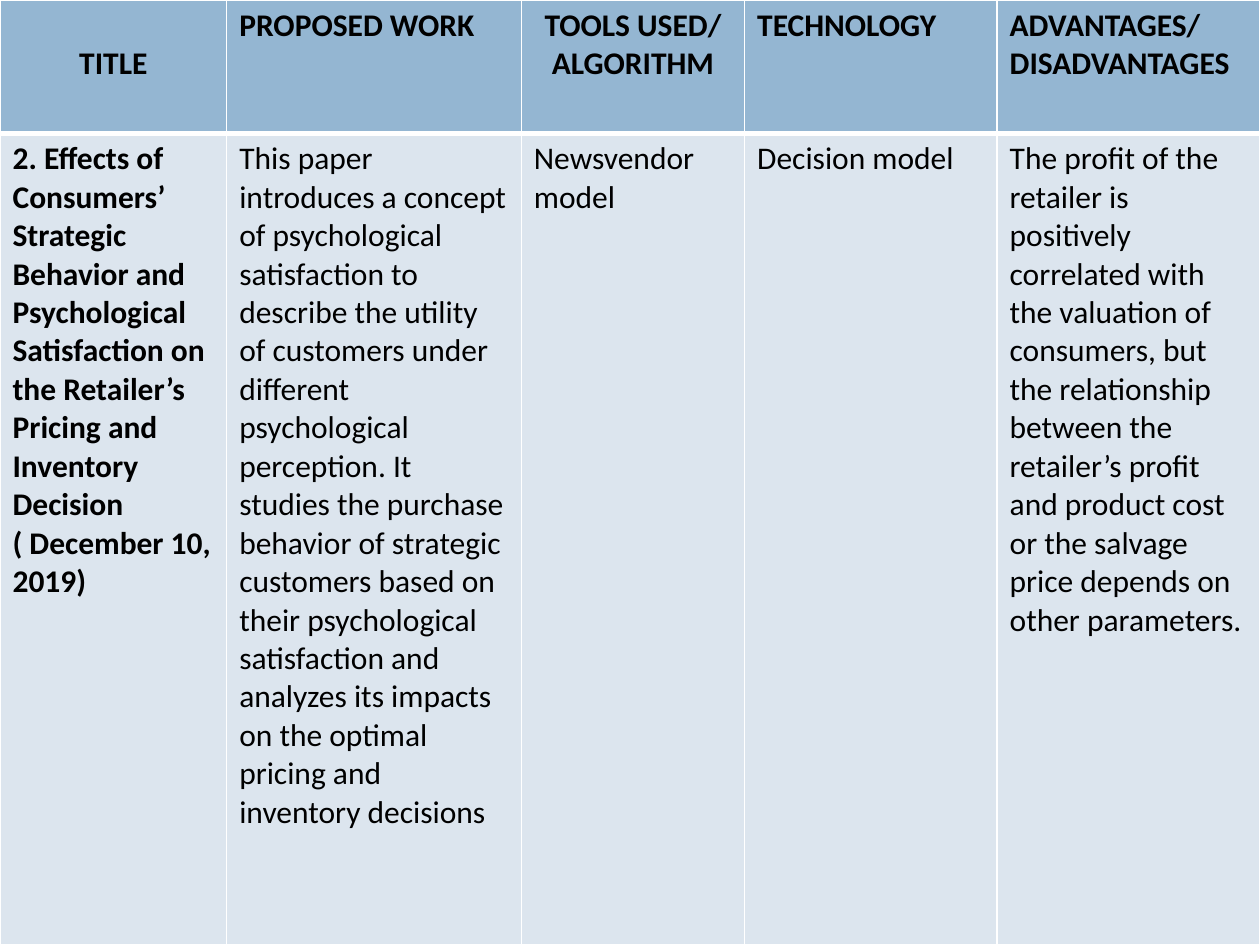
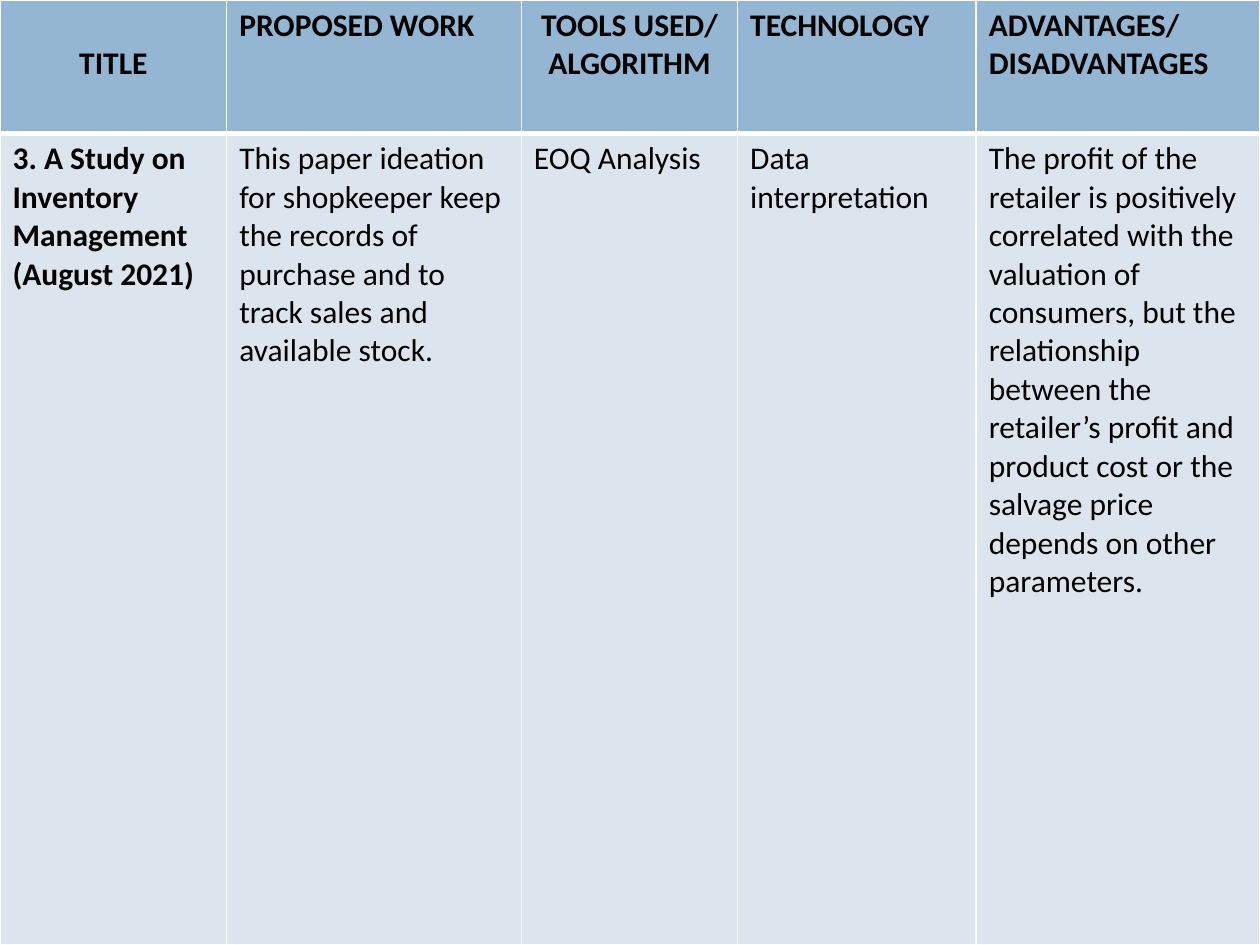
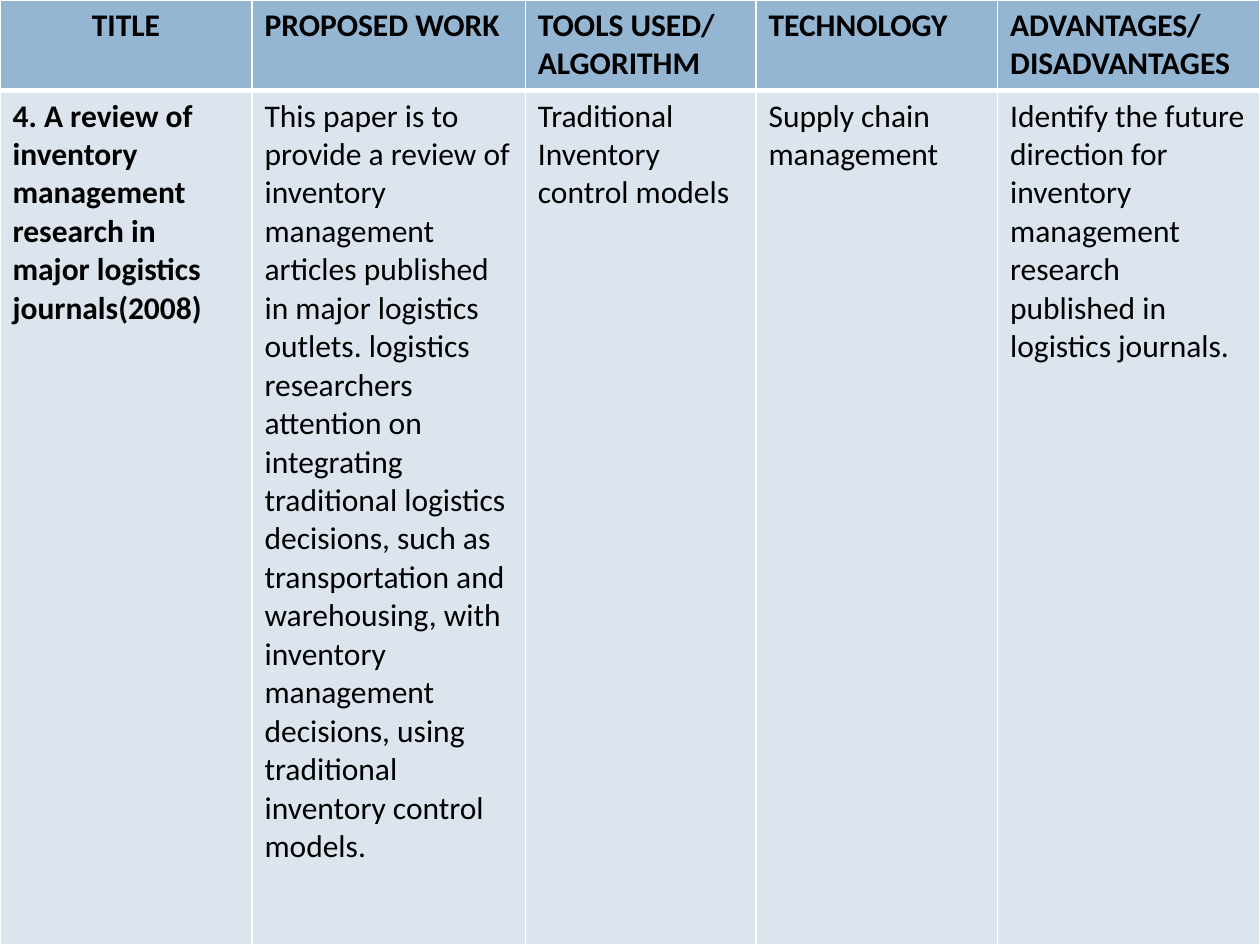
from dataclasses import dataclass

from lxml.etree import SubElement
from pptx import Presentation
from pptx.dml.color import RGBColor
from pptx.enum.text import PP_ALIGN as Align
from pptx.oxml.ns import qn
from pptx.util import Cm, Pt

# Shared look
WIDE, HIGH = 25.4, 19.05
HEAD_FILL, BODY_FILL = "94B6D2", "DCE5EE"
INK, RULE = "000000", "FFFFFF"
THIN, THICK = 1, 3
FONT = {"name": "Calibri", "size": Pt(18)}
HEADS = ("TITLE", "PROPOSED WORK", "TOOLS USED/ ALGORITHM",
         "TECHNOLOGY", "ADVANTAGES/ DISADVANTAGES")
LEFT, MID, JUST = Align.LEFT, Align.CENTER, Align.JUSTIFY
MIXED = (MID, JUST, MID, LEFT, LEFT)
PLAIN = (MID, LEFT, LEFT, LEFT, LEFT)
PROFIT = ("The profit of the retailer is positively correlated with the "
          "valuation of consumers, but the relationship between the "
          "retailer’s profit and product cost or the salvage price depends "
          "on other parameters.")


@dataclass
class Review:
    """One paper; the last column takes the width that is left."""
    cols: tuple[float, ...]
    head: float
    aligns: tuple
    lead: float  # line spacing of the first heading
    texts: tuple[str, ...]


REVIEWS = (
    Review((4.57, 5.94, 4.5, 5.09), 2.69, MIXED, 2.0, (
        "2. Effects of Consumers’ Strategic Behavior and Psychological "
        "Satisfaction on the Retailer’s Pricing and Inventory Decision\n"
        "( December 10, 2019)",
        "This paper introduces a concept of psychological satisfaction to "
        "describe the utility of customers under different psychological "
        "perception. It studies the purchase behavior of strategic customers "
        "based on their psychological satisfaction and analyzes its impacts "
        "on the optimal pricing and inventory decisions",
        "Newsvendor model", "Decision model", PROFIT)),
    Review((4.57, 5.94, 4.36, 4.81), 2.69, MIXED, 2.0, (
        "3. A Study on Inventory Management\n(August 2021)",
        "This paper ideation for shopkeeper keep the records of purchase and "
        "to track sales and available stock.",
        "EOQ Analysis", "Data interpretation", PROFIT)),
    Review((5.08, 5.51, 4.65, 4.87), 1.83, PLAIN, 1.0, (
        "4. A review of inventory management research in major logistics "
        "journals(2008)",
        "This paper is to provide a review of inventory management articles "
        "published in major logistics outlets. logistics researchers "
        "attention on integrating traditional logistics decisions, such as "
        "transportation and warehousing, with inventory management "
        "decisions, using traditional inventory control models.",
        "Traditional Inventory control models", "Supply chain management",
        "Identify the future direction for inventory management research "
        "published in logistics journals.")),
)


def hue(code: str) -> RGBColor:
    return RGBColor.from_string(code)


def style(item, form: dict) -> None:
    for key, val in form.items():
        setattr(item, key, val)


def edge(cell, sides: dict[str, int]) -> None:
    """Draw the cell borders; widths are in points."""
    props = cell._tc.get_or_add_tcPr()
    for side, width in sides.items():
        line = SubElement(props, qn(f"a:ln{side}"), w=str(Pt(width)))
        fill = SubElement(line, qn("a:solidFill"))
        SubElement(fill, qn("a:srgbClr"), val=RULE)


def fill_cell(cell, text: str, fill: str, bold: bool, form: dict,
              top: int, base: int) -> None:
    edge(cell, {"L": THIN, "R": THIN, "T": top, "B": base})
    cell.fill.solid()
    cell.fill.fore_color.rgb = hue(fill)
    cell.text_frame.text = text
    for para in cell.text_frame.paragraphs:
        style(para, form)
        for run in para.runs:
            style(run.font, FONT | {"bold": bold})
            run.font.color.rgb = hue(INK)


def draw(deck, rev: Review) -> None:
    slide = deck.slides.add_slide(deck.slide_layouts[6])
    grid = slide.shapes.add_table(2, len(HEADS), 0, 0, Cm(WIDE), Cm(HIGH)).table
    style(grid, {"first_row": True, "horz_banding": False})

    # Column and row sizes
    for col, width in zip(grid.columns, (*rev.cols, WIDE - sum(rev.cols))):
        col.width = Cm(width)
    for row, height in zip(grid.rows, (rev.head, HIGH - rev.head)):
        row.height = Cm(height)

    # Heading above, review text below
    for num, (head, text, align) in enumerate(zip(HEADS, rev.texts, rev.aligns)):
        first = num == 0
        form = {"alignment": align, "line_spacing": rev.lead if first else 1.0}
        fill_cell(grid.cell(0, num), head, HEAD_FILL, True, form, THIN, THICK)
        fill_cell(grid.cell(1, num), text, BODY_FILL, first,
                  {"alignment": LEFT}, THICK, THIN)


def main() -> None:
    deck = Presentation()
    style(deck, {"slide_width": Cm(WIDE), "slide_height": Cm(HIGH)})
    for rev in REVIEWS:
        draw(deck, rev)
    deck.save("out.pptx")


if __name__ == "__main__":
    main()
